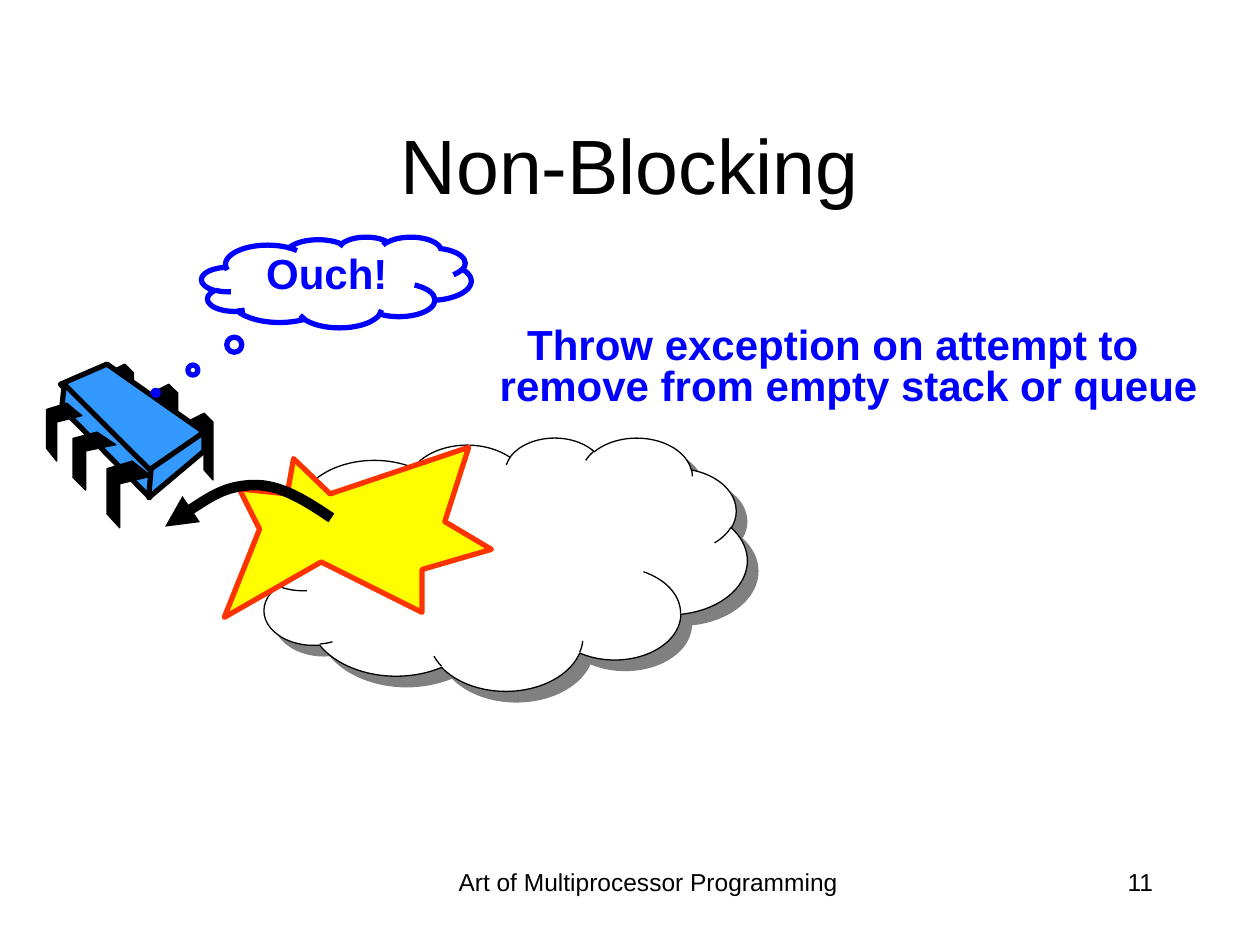
"""Build the Non-Blocking slide: a chip, a thought cloud and a thrown exception."""
from lxml import etree
from pptx import Presentation
from pptx import util as u
from pptx.dml.color import RGBColor
from pptx.enum import shapes, text
from pptx.oxml import ns

PX = 9144
FONT = "Arial"
COLORS = {"black": "000000", "white": "FFFFFF", "blue": "0000FF", "chip": "3399FF",
          "yellow": "FFFF00", "red": "FF3300", "shadow": "808080"}
CENTER, RIGHT = text.PP_ALIGN.CENTER, text.PP_ALIGN.RIGHT

LABELS = [
    ("Art of Multiprocessor Programming", (342, 683, 345, 50), 14, CENTER, text.MSO_ANCHOR.TOP),
    ("11", (717, 683, 208, 50), 14, RIGHT, text.MSO_ANCHOR.TOP),
    ("Non-Blocking", (75, 67, 850, 125), 44, CENTER, text.MSO_ANCHOR.MIDDLE),
]
CLOUD = (201, 347, 392, 201)
THOUGHT = ("Ouch!", (160, 188, 214, 72), (-0.67, 1.219))
MESSAGE = ("Throw exception on attempt to remove from empty stack or queue",
           (347, 256, 628, 74))

REAR_PINS = [
    [(148, 335), (162, 328), (169, 335), (169, 381), (162, 373), (162, 343), (148, 351)],
    [(120, 312), (134, 305), (141, 312), (141, 358), (134, 351), (134, 320), (120, 328)],
    [(85, 296), (99, 289), (106, 296), (106, 335), (99, 329), (99, 303), (85, 309)],
]
CHIP_FACES = [
    [(85, 289), (162, 343), (119, 375), (48, 305)],
    [(51, 305), (120, 374), (119, 395), (49, 324)],
    [(162, 343), (162, 358), (118, 395), (120, 372)],
]
FRONT_PINS = [
    [(105, 366), (120, 378), (95, 384), (95, 419), (85, 408), (85, 372)],
    [(77, 343), (92, 353), (68, 358), (68, 389), (58, 379), (58, 348)],
    [(53, 320), (65, 330), (45, 335), (45, 366), (37, 356), (37, 325)],
]
CHIP_LAYERS = [(REAR_PINS, "black", 0.75), (CHIP_FACES, "chip", 3), (FRONT_PINS, "black", 0.75)]
BURST = [(262, 392), (233, 364), (228, 392), (190, 388), (206, 420), (178, 490),
         (255, 446), (335, 486), (335, 452), (390, 436), (353, 414), (372, 355)]
THROW_CURVE = [(263, 411), (242, 397), (222, 384), (200, 385),
               (178, 386), (154, 402), (131, 418)]


def color(name):
    return RGBColor.from_string(COLORS[name])


def emu(box):
    return [value * PX for value in box]


def paint(shape, fill, line, width):
    shape.shadow.inherit = False
    if fill:
        shape.fill.solid()
        shape.fill.fore_color.rgb = color(fill)
    else:
        shape.fill.background()
    shape.line.color.rgb = color(line)
    shape.line.width = u.Pt(width)


def write(shape, words, size, align, anchor, ink="black", bold=False):
    frame = shape.text_frame
    frame.word_wrap = True
    frame.vertical_anchor = anchor
    paragraph = frame.paragraphs[0]
    paragraph.alignment = align
    run = paragraph.add_run()
    run.text = words
    run.font.name, run.font.size, run.font.bold = FONT, u.Pt(size), bold
    run.font.color.rgb = color(ink)
    return paragraph


def write_note(shape, words):
    paragraph = write(shape, words, 24, CENTER, text.MSO_ANCHOR.TOP, "blue", True)
    paragraph.line_spacing = 0.8
    properties = paragraph._p.get_or_add_pPr()
    properties.set("marL", str(25 * PX))
    properties.set("indent", str(-25 * PX))


def add_outline(parent, points, fill, line, width, close=True):
    builder = parent.build_freeform(*points[0], scale=PX)
    builder.add_line_segments(points[1:], close=close)
    shape = builder.convert_to_shape()
    paint(shape, fill, line, width)
    return shape


def add_cloud(parent):
    cloud = parent.add_shape(shapes.MSO_SHAPE.CLOUD, *emu(CLOUD))
    paint(cloud, "white", "black", 0.75)
    effects = cloud._element.spPr.find(ns.qn("a:effectLst"))
    shadow = etree.SubElement(effects, ns.qn("a:outerShdw"), dist=str(u.Pt(8.5)),
                              dir="2700000", algn="ctr", rotWithShape="0")
    etree.SubElement(shadow, ns.qn("a:srgbClr"), val=COLORS["shadow"])


def add_curved_arrow(parent):
    arrow = add_outline(parent, THROW_CURVE, None, "black", 6, close=False)
    segments = list(arrow._element.iter(ns.qn("a:lnTo")))
    outline = segments[0].getparent()
    for start in range(0, len(segments), 3):
        curve = etree.SubElement(outline, ns.qn("a:cubicBezTo"))
        for segment in segments[start:start + 3]:
            curve.append(segment[0])
            outline.remove(segment)
    etree.SubElement(arrow.line._get_or_add_ln(), ns.qn("a:tailEnd"), type="triangle")


def main():
    presentation = Presentation()
    presentation.slide_width, presentation.slide_height = emu((1000, 750))
    slide = presentation.slides.add_slide(presentation.slide_layouts[6])
    canvas = slide.shapes

    for words, box, size, align, anchor in LABELS:
        write(canvas.add_textbox(*emu(box)), words, size, align, anchor)

    add_cloud(canvas)
    chip = canvas.add_group_shape()
    for outlines, fill, width in CHIP_LAYERS:
        for points in outlines:
            add_outline(chip.shapes, points, fill, "black", width)

    words, box, pointer = THOUGHT
    thought = canvas.add_shape(shapes.MSO_SHAPE.CLOUD_CALLOUT, *emu(box))
    for index, value in enumerate(pointer):
        thought.adjustments[index] = value
    paint(thought, "white", "blue", 3)
    write_note(thought, words)

    words, box = MESSAGE
    message = canvas.add_textbox(*emu(box))
    write_note(message, words)
    message.text_frame.auto_size = text.MSO_AUTO_SIZE.SHAPE_TO_FIT_TEXT

    add_outline(canvas, BURST, "yellow", "red", 3)
    add_curved_arrow(canvas)
    presentation.save("out.pptx")


if __name__ == "__main__":
    main()
